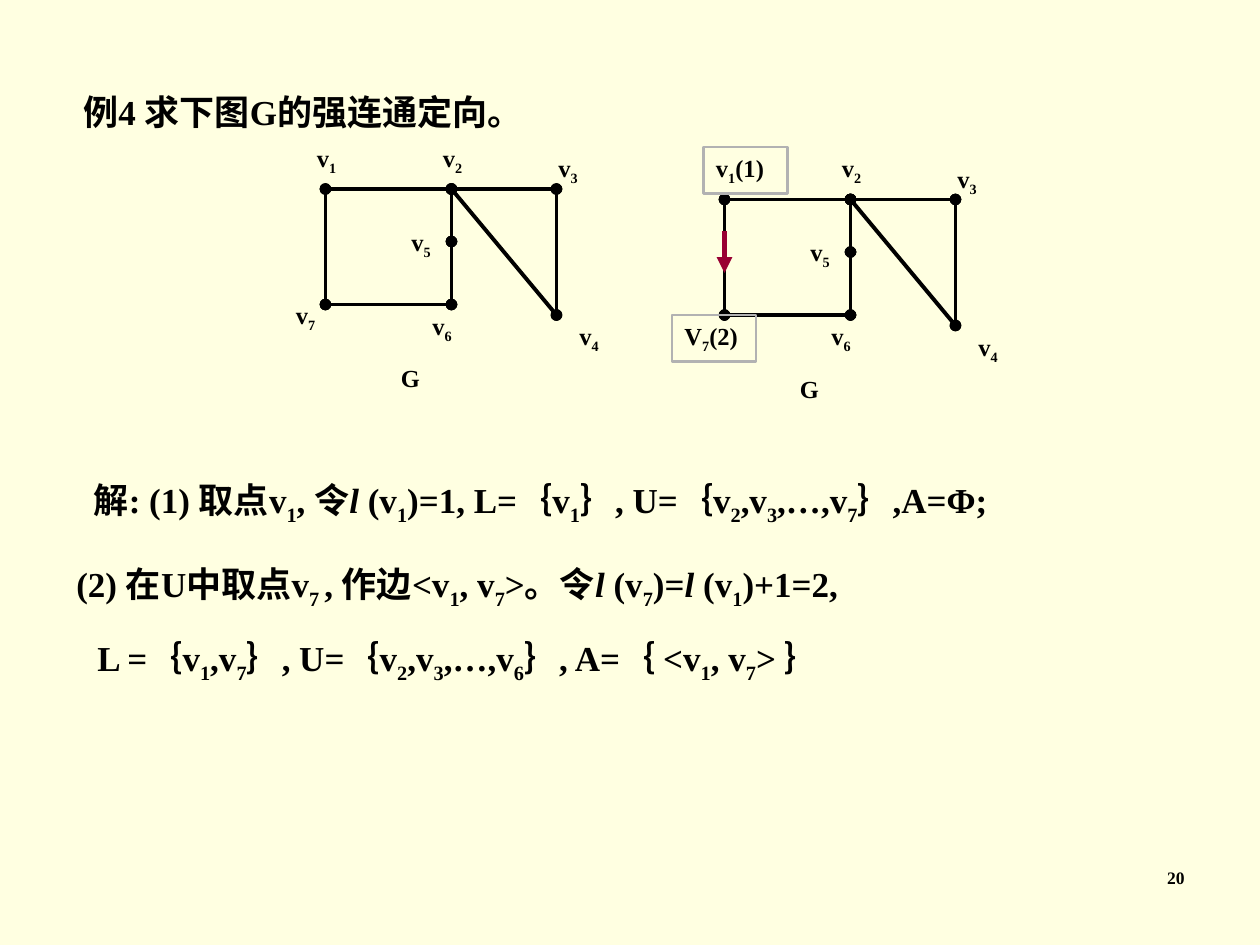
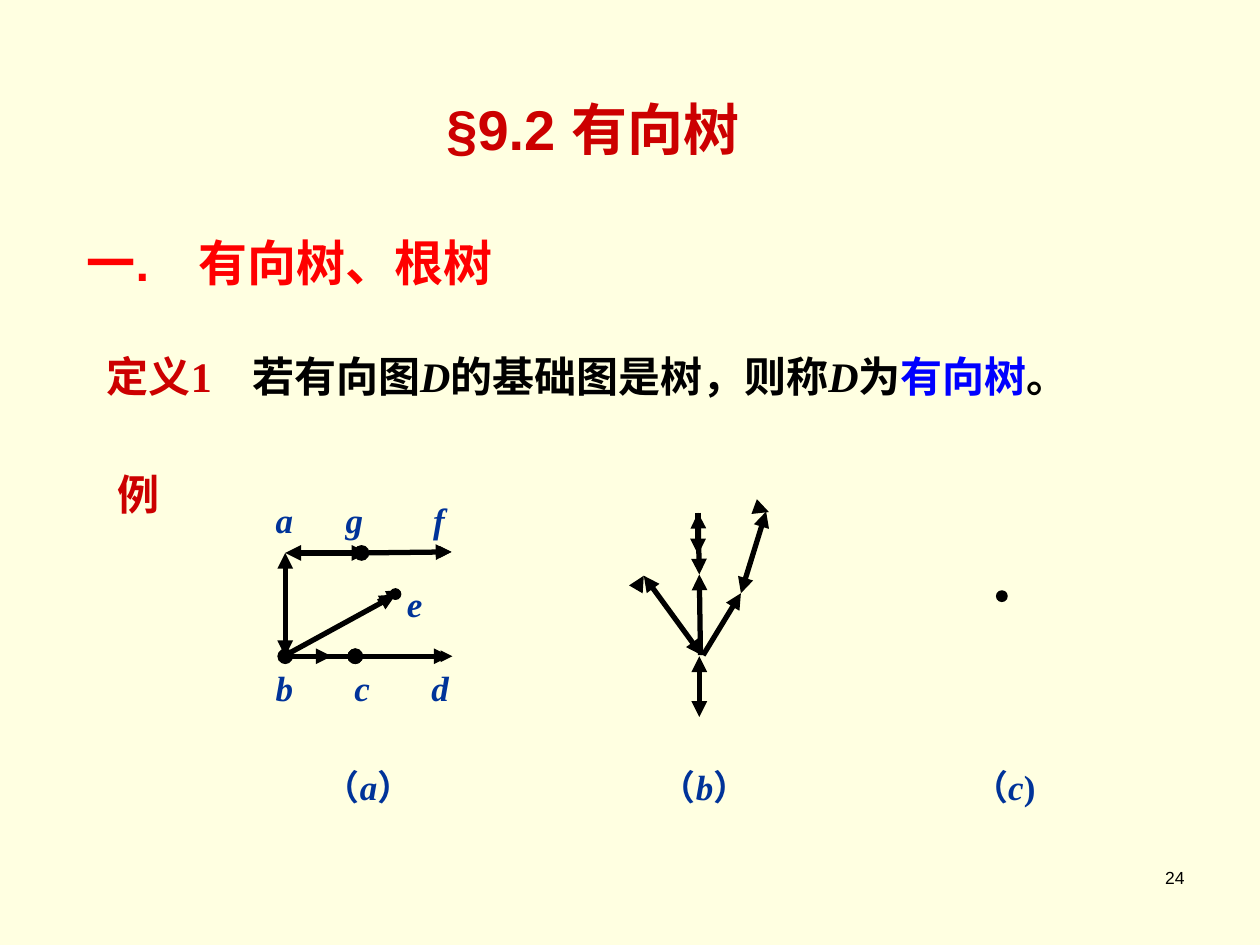
import dataclasses

import lxml.etree
import pptx
import pptx.dml.color
import pptx.enum.shapes
import pptx.enum.text
import pptx.oxml.ns
import pptx.util

Pt = pptx.util.Pt
SHAPE = pptx.enum.shapes.MSO_SHAPE
ALIGN = pptx.enum.text.PP_ALIGN


@dataclasses.dataclass(frozen=True)
class Theme:
    paper: str = "FFFFE1"
    ink: str = "000000"
    crimson: str = "CC0000"
    red: str = "FF0000"
    blue: str = "0000FF"
    navy: str = "003399"
    wine: str = "990033"
    grey: str = "B2B2B2"
    serif: str = "Times New Roman"
    sans: str = "Arial"
    asian: str = "Noto Sans CJK SC"
    small: int = 10
    label: int = 14
    body: int = 20
    lead: int = 24
    head: int = 28
    title: int = 32


THEME = Theme()


def paint(code):
    return pptx.dml.color.RGBColor.from_string(code)


def add_node(parent, tag, **attrs):
    node = lxml.etree.SubElement(parent, pptx.oxml.ns.qn(tag))
    for key, value in attrs.items():
        node.set(key, str(value))
    return node


# Text: "_x" is a subscript, "/x" is italic, (text, colour, font) overrides
def write(shape, runs, size, color=THEME.ink, font=THEME.serif, bold=True,
          align=ALIGN.LEFT, space=None, tab=None):
    frame = shape.text_frame
    frame.word_wrap = True
    frame.vertical_anchor = pptx.enum.text.MSO_ANCHOR.TOP
    para = frame.paragraphs[0]
    para.alignment = align
    if space:
        para.line_spacing = space
    if tab:
        stops = add_node(para._p.get_or_add_pPr(), "a:tabLst")
        add_node(stops, "a:tab", pos=Pt(tab), algn="l")
    for item in runs:
        words, hue, face = item if isinstance(item, tuple) else (item, color, font)
        mark = words[0] if words[0] in "_/" else ""
        run = para.add_run()
        run.text = words[len(mark):]
        run.font.size = Pt(size)
        run.font.bold = bold
        run.font.italic = mark == "/"
        run.font.name = face
        run.font.color.rgb = paint(hue)
        props = run.font._element
        add_node(props, "a:ea", typeface=THEME.asian)
        if mark == "_":
            props.set("baseline", "-25000")


def add_text(slide, box, runs, size, **style):
    shape = slide.shapes.add_textbox(*map(Pt, box))
    write(shape, runs, size, **style)


def add_line(slide, start, end, head=None, tail=None, width=3, color=THEME.ink):
    line = slide.shapes.add_connector(
        pptx.enum.shapes.MSO_CONNECTOR.STRAIGHT, *map(Pt, (*start, *end)))
    line.line.color.rgb = paint(color)
    line.line.width = Pt(width)
    stroke = line.line._get_or_add_ln()
    for tag, kind in (("a:headEnd", head), ("a:tailEnd", tail)):
        if kind:
            add_node(stroke, tag, type=kind)
    add_node(line._element.spPr, "a:effectLst")


def add_dot(slide, left, top, size=6):
    dot = slide.shapes.add_shape(SHAPE.OVAL, *map(Pt, (left, top, size, size)))
    dot.shadow.inherit = False
    dot.fill.solid()
    dot.fill.fore_color.rgb = paint(THEME.ink)
    dot.line.color.rgb = paint(THEME.ink)
    dot.line.width = Pt(0.75)


def add_frame(slide, left, top, runs):
    frame = slide.shapes.add_shape(SHAPE.RECTANGLE, *map(Pt, (left, top, 48, 26.5)))
    frame.shadow.inherit = False
    frame.fill.background()
    frame.line.color.rgb = paint(THEME.grey)
    frame.line.width = Pt(1.5)
    write(frame, runs, THEME.label)


def add_page(deck, number, **style):
    slide = deck.slides.add_slide(deck.slide_layouts[6])
    slide.background.fill.solid()
    slide.background.fill.fore_color.rgb = paint(THEME.paper)
    add_text(slide, (534, 492, 150, 36), [number], THEME.small,
             align=ALIGN.RIGHT, **style)
    return slide


def shift(left, top, point):
    return left + point[0], top + point[1]


# The seven-vertex graph: places from its upper left vertex
NODES = {1: (0, 0), 2: (72, 0), 3: (132, 0), 4: (132, 72),
         5: (72, 30), 6: (72, 66), 7: (0, 66)}
EDGES = [(1, 7), (7, 6), (1, 2), (2, 5), (5, 6), (2, 3), (3, 4), (2, 4)]
TAGS = {1: (-12, -30), 2: (60, -30), 3: (126, -24), 4: (138, 72),
        5: (42, 18), 6: (54, 66), 7: (-24, 60)}


def draw_graph(slide, left, top, framed=()):
    for start, end in EDGES:
        add_line(slide, shift(left, top, NODES[start]),
                 shift(left, top, NODES[end]), "oval", "oval", 2.25)
    for node, place in TAGS.items():
        if node not in framed:
            add_text(slide, (*shift(left, top, place), 31, 26.5),
                     ["v", f"_{node}"], THEME.label)
    add_text(slide, (left + 36, top + 96, 61, 24.5), ["G"], THEME.label)


def draw_step(slide, left, top):
    draw_graph(slide, left, top, framed=(1, 7))
    add_frame(slide, left - 12, top - 30, ["v", "_1", "(1)"])
    add_frame(slide, left - 30, top + 66, ["V", "_7", "(2)"])
    add_line(slide, (left, top + 18), (left, top + 42),
             tail="triangle", color=THEME.wine)


def build_example(deck):
    slide = add_page(deck, "20")
    add_text(slide, (40.5, 48, 640, 32), ["例4 求下图G的强连通定向。"], THEME.body)
    draw_graph(slide, 186, 108)
    draw_step(slide, 414, 114)
    # Worked steps
    steps = [
        (46.5, 270, ["解: (1) 取点v", "_1", ", 令", "/l ", "(v", "_1", ")=1, L=｛v",
                     "_1", "｝, U=｛v", "_2", ",v", "_3", ",…,v", "_7", "｝,A=Φ;"]),
        (36.5, 318, ["(2) 在U中取点v", "_7 ", ", 作边<v", "_1", ", v", "_7", ">。令",
                     "/l ", "(v", "_7", ")=", "/l ", "(v", "_1", ")+1=2,"]),
        (48.5, 360, ["L =｛v", "_1", ",v", "_7", "｝, U=｛v", "_2", ",v", "_3", ",…,v",
                     "_6", "｝, A=｛ <v", "_1", ", v", "_7", "> ｝"]),
    ]
    for left, top, runs in steps:
        add_text(slide, (left, top, 660, 34.5), runs, THEME.body)


# Directed trees: start, end, head, tail, width
ARROW = "triangle"
FIRST = [
    ((0, 0), (47, 0), ARROW, ARROW, 3),
    ((0, 59), (0, 0), ARROW, ARROW, 3),
    ((0, 59), (40, 59), "oval", "oval", 3),
    ((40, 59), (94, 59), "oval", ARROW, 3),
    ((43.6, 0), (95, -0.6), "oval", ARROW, 3),
    ((0, 59), (26.5, 59), None, ARROW, 3),
    ((0, 58.5), (63, 24), None, ARROW, 3),
    ((84, -0.6), (95, -0.6), None, ARROW, 2.25),
    ((84, 59), (95.5, 59), None, ARROW, 2.25),
    ((53, 27.5), (64.5, 21.7), None, ARROW, 2.25),
]
SECOND = [
    ((35, 82.4), (1.9, 37), ARROW, ARROW, 3),
    ((57.4, 47), (71.8, 0.3), ARROW, ARROW, 3),
    ((35.8, 82.4), (57.4, 47), None, ARROW, 3),
    ((32.9, 1), (32.9, 24.8), None, ARROW, 3),
    ((34.3, 82.4), (33.6, 36.3), None, ARROW, 3),
    ((71.8, 0), (73.4, 0.6), None, ARROW, 3),
    ((33.6, 36.3), (32.9, 1), ARROW, ARROW, 3),
    ((-0.2, 40.6), (1.9, 37), None, ARROW, 3),
    ((33.6, 83), (33.6, 117.7), ARROW, ARROW, 3),
]
NAMES = {"a": (0, 0), "g": (40, 0), "f": (90, 0), "e": (75, 48),
         "b": (0, 96), "c": (45, 96), "d": (89, 96)}


def draw_tree(slide, left, top, lines):
    for start, end, head, tail, width in lines:
        add_line(slide, shift(left, top, start), shift(left, top, end),
                 head, tail, width)


def draw_named(slide, left, top):
    draw_tree(slide, left, top, FIRST)
    add_dot(slide, left + 60, top + 20.5)
    for name, place in NAMES.items():
        add_text(slide, (*shift(left - 12.5, top - 34.5, place), 36, 30),
                 ["/" + name], THEME.body, color=THEME.navy)


def build_trees(deck):
    slide = add_page(deck, "24", font=THEME.sans, bold=False)
    # Headings and definition
    add_text(slide, (248, 43, 350, 53), ["§9.2 有向树"], THEME.title,
             color=THEME.crimson, font=THEME.sans, space=1.2)
    add_text(slide, (42.5, 122.5, 465, 47.5), ["一.\t有向树、根树"], THEME.head,
             color=THEME.red, font=THEME.sans, space=1.2, tab=64)
    add_text(slide, (54, 191, 612, 42),
             [("定义1\t", THEME.crimson, THEME.serif), "若有向图", "/D",
              "的基础图是树，则称", "/D", "为",
              ("有向树", THEME.blue, THEME.asian), "。"],
             THEME.lead, space=1.2, tab=83)
    add_text(slide, (60, 264, 47, 36), ["例"], THEME.lead,
             color=THEME.crimson, font=THEME.sans)
    # Three trees with captions
    draw_named(slide, 163, 316)
    draw_tree(slide, 366, 292, SECOND)
    add_dot(slide, 569.5, 337.7)
    for left, name, close in ((178.5, "a", "）"), (370.5, "b", "）"), (549, "c", ")")):
        add_text(slide, (left, 434, 100, 41), ["（", "/" + name, close],
                 THEME.body, color=THEME.navy)


def main():
    deck = pptx.Presentation()
    deck.slide_width, deck.slide_height = Pt(720), Pt(540)
    build_example(deck)
    build_trees(deck)
    deck.save("out.pptx")


if __name__ == "__main__":
    main()
